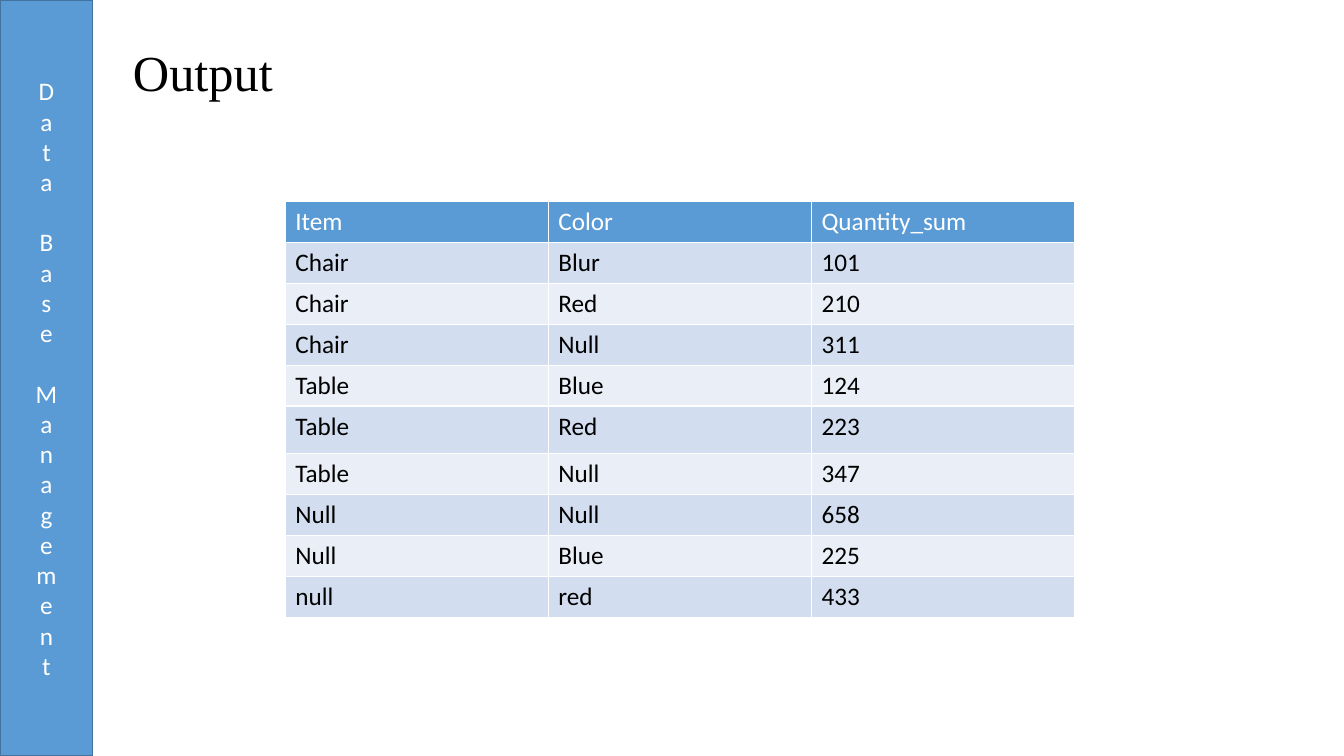
from pptx import Presentation
from pptx.dml.color import RGBColor
from pptx.enum.shapes import MSO_SHAPE
from pptx.enum.text import MSO_ANCHOR as Anchor, PP_ALIGN as Align
from pptx.util import Cm, Pt

BLUE = RGBColor(0x5B, 0x9B, 0xD5)
DARK_BLUE = RGBColor(0x43, 0x73, 0x9E)
BAND_DARK = RGBColor(0xD2, 0xDE, 0xEF)
BAND_LIGHT = RGBColor(0xEA, 0xEF, 0xF7)
WHITE = RGBColor(0xFF, 0xFF, 0xFF)
BLACK = RGBColor(0, 0, 0)

SLIDE_W, SLIDE_H = Cm(33.87), Cm(19.05)
COL_W, ROW_H, TALL_ROW_H = Cm(6.63), Cm(1.03), Cm(1.2)
TALL_ROW = 5

ROWS = [
    ("Item", "Color", "Quantity_sum"),
    ("Chair", "Blur", "101"),
    ("Chair", "Red", "210"),
    ("Chair", "Null", "311"),
    ("Table", "Blue", "124"),
    ("Table", "Red", "223"),
    ("Table", "Null", "347"),
    ("Null", "Null", "658"),
    ("Null", "Blue", "225"),
    ("null", "red", "433"),
]


def write(tf, text, size, color, name="Calibri"):
    """Fill a text frame with one paragraph and return that paragraph."""
    tf.text = text
    p = tf.paragraphs[0]
    font = p.runs[0].font
    font.name, font.size, font.bold = name, Pt(size), False
    font.color.rgb = color
    return p


def add_sidebar(slide, text):
    sp = slide.shapes.add_shape(MSO_SHAPE.RECTANGLE, 0, 0, Cm(2.34), SLIDE_H)
    sp.shadow.inherit = False
    sp.fill.solid()
    sp.fill.fore_color.rgb = BLUE
    sp.line.color.rgb = DARK_BLUE
    sp.line.width = Pt(1)
    tf = sp.text_frame
    tf.vertical_anchor = Anchor.MIDDLE
    write(tf, text, 18, WHITE).alignment = Align.CENTER
    sp.element.txBody.bodyPr.set("vert", "wordArtVert")


def add_title(slide, text):
    sp = slide.shapes.add_textbox(Cm(3.1), Cm(1.17), Cm(30.77), Cm(1.47))
    tf = sp.text_frame
    tf.word_wrap = True
    tf.vertical_anchor = Anchor.MIDDLE
    write(tf, text, 36, BLACK, "Times New Roman").line_spacing = 0.9


def add_result_table(slide, rows):
    """Add a table with a blue header; its white rules come from the default style."""
    n_rows, n_cols = len(rows), len(rows[0])
    height = ROW_H * (n_rows - 1) + TALL_ROW_H
    table = slide.shapes.add_table(
        n_rows, n_cols, Cm(7.19), Cm(5.08), COL_W * n_cols, height).table
    for col in table.columns:
        col.width = COL_W
    for i, values in enumerate(rows):
        table.rows[i].height = TALL_ROW_H if i == TALL_ROW else ROW_H
        band = BAND_DARK if i % 2 else BAND_LIGHT
        for j, value in enumerate(values):
            cell = table.cell(i, j)
            cell.fill.solid()
            cell.fill.fore_color.rgb = band if i else BLUE
            write(cell.text_frame, value, 18, BLACK if i else WHITE)


def main():
    prs = Presentation()
    prs.slide_width, prs.slide_height = SLIDE_W, SLIDE_H
    slide = prs.slides.add_slide(prs.slide_layouts[6])
    add_sidebar(slide, "Data Base Management")
    add_result_table(slide, ROWS)
    add_title(slide, "Output")
    prs.save("out.pptx")


if __name__ == "__main__":
    main()
